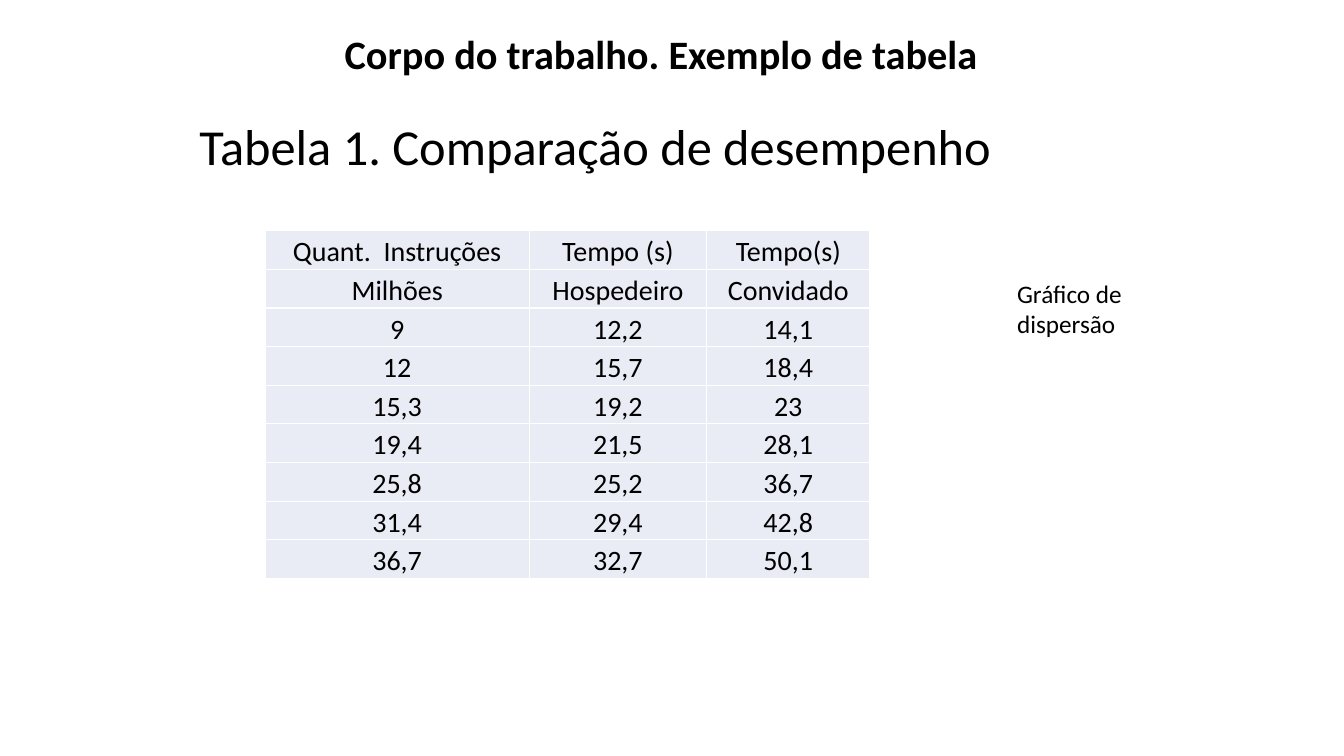
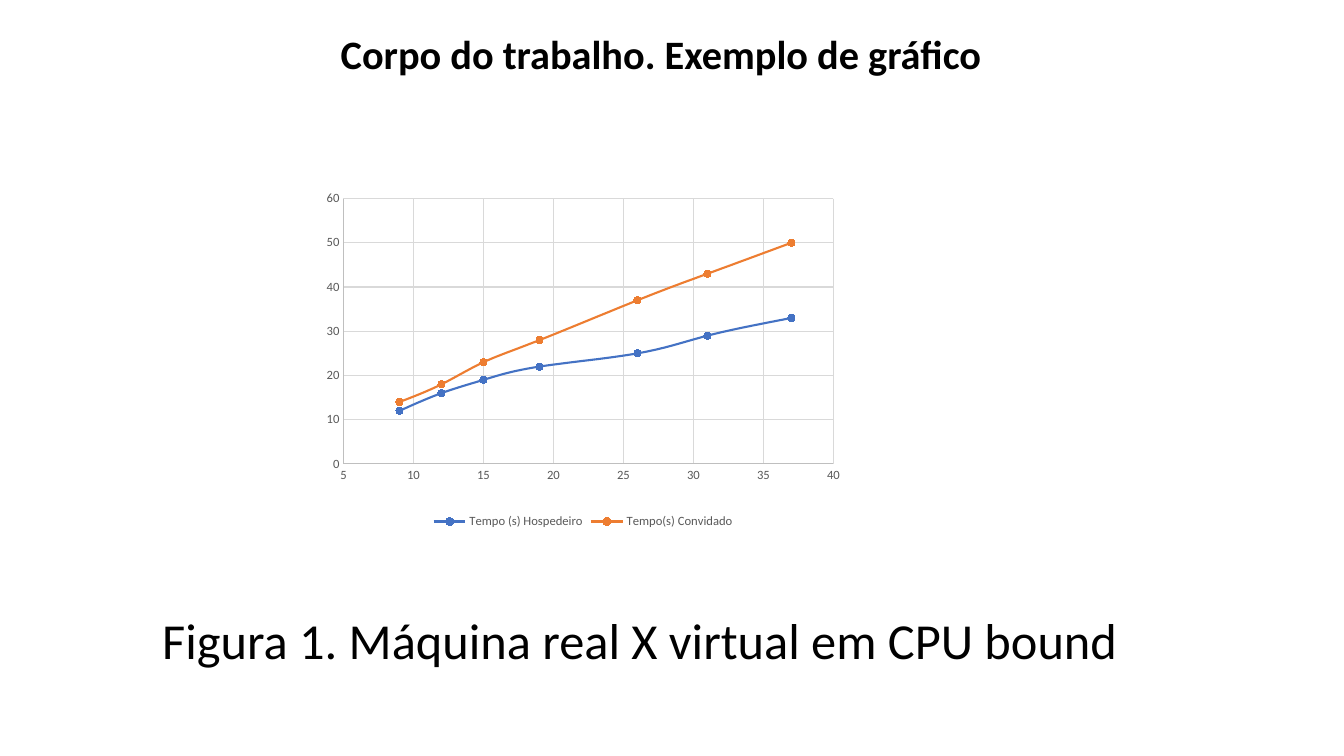
from dataclasses import dataclass
from typing import Any

import lxml.etree
import pptx
import pptx.chart.data
import pptx.dml.color
import pptx.enum.chart
import pptx.enum.text
import pptx.oxml.ns
import pptx.util

FONT = "Calibri"
BLACK, WHITE, GREY = "000000", "FFFFFF", "595959"
CELL_FILL, AXIS_LINE, GRID_LINE = "E9EBF5", "BFBFBF", "D9D9D9"
SERIES_COLOURS = ("4472C4", "ED7D31")
COLUMN_WEIGHTS = (2.62, 1.76, 1.62)
PLOT_SHARES = {"x": 0.06, "y": 0.03, "w": 0.9, "h": 0.77}

SLIDE_WIDTH = pptx.util.Inches(13.33)
SLIDE_HEIGHT = pptx.util.Inches(7.5)

# The table shows these measurements, the chart their whole numbers
HEADERS = [
    ("Quant.  Instruções", "Tempo (s)", "Tempo(s)"),
    ("Milhões", "Hospedeiro", "Convidado"),
]
MEASUREMENTS = [
    (9, 12.2, 14.1),
    (12, 15.7, 18.4),
    (15.3, 19.2, 23),
    (19.4, 21.5, 28.1),
    (25.8, 25.2, 36.7),
    (31.4, 29.4, 42.8),
    (36.7, 32.7, 50.1),
]


@dataclass(frozen=True)
class Box:
    """A place on the slide, in percent of its width and height."""

    left: float
    top: float
    width: float
    height: float

    def lengths(self) -> tuple[int, int, int, int]:
        return (
            round(SLIDE_WIDTH * self.left / 100),
            round(SLIDE_HEIGHT * self.top / 100),
            round(SLIDE_WIDTH * self.width / 100),
            round(SLIDE_HEIGHT * self.height / 100),
        )


@dataclass(frozen=True)
class TextStyle:
    size: float
    bold: bool = False
    colour: str = BLACK


@dataclass(frozen=True)
class Label:
    text: str
    box: Box
    style: TextStyle


TITLE_BOX = Box(4.6, 2.5, 89.2, 8.4)
TABLE_BOX = Box(19.73, 30.53, 45, 46)
CHART_BOX = Box(23.13, 24.9, 40.51, 45.6)

TITLE_STYLE = TextStyle(28.8, bold=True)
CAPTION_STYLE = TextStyle(36)
NOTE_STYLE = TextStyle(18)
CELL_STYLE = TextStyle(20)
CHART_STYLE = TextStyle(9, colour=GREY)

TABLE_LABELS = [
    Label("Tabela 1. Comparação de desempenho", Box(14.1, 14.53, 71.87, 9.47), CAPTION_STYLE),
    Label("Gráfico de dispersão", Box(74.94, 36.13, 11.03, 9.47), NOTE_STYLE),
]
CHART_LABELS = [
    Label("Figura 1. Máquina real X virtual em CPU bound", Box(11.33, 79.87, 77.19, 9.47), CAPTION_STYLE),
]


def colour(hex_value: str) -> Any:
    return pptx.dml.color.RGBColor.from_string(hex_value)


def set_attributes(target: Any, values: dict[str, Any]) -> None:
    for name, value in values.items():
        setattr(target, name, value)


def style_font(font: Any, style: TextStyle) -> None:
    set_attributes(font, {"name": FONT, "size": pptx.util.Pt(style.size), "bold": style.bold})
    font.color.rgb = colour(style.colour)


def style_fill(fill: Any, hex_value: str) -> None:
    fill.solid()
    fill.fore_color.rgb = colour(hex_value)


def style_line(line: Any, hex_value: str, width: float) -> None:
    line.color.rgb = colour(hex_value)
    line.width = pptx.util.Pt(width)


def add_label(slide: Any, label: Label) -> Any:
    frame = slide.shapes.add_textbox(*label.box.lengths()).text_frame
    set_attributes(frame, {
        "text": label.text,
        "word_wrap": True,
        "auto_size": pptx.enum.text.MSO_AUTO_SIZE.SHAPE_TO_FIT_TEXT,
    })
    style_font(frame.paragraphs[0].runs[0].font, label.style)
    return frame


def add_titled_slide(presentation: Any, title: str, labels: list[Label]) -> Any:
    slide = presentation.slides.add_slide(presentation.slide_layouts[6])
    frame = add_label(slide, Label(title, TITLE_BOX, TITLE_STYLE))
    set_attributes(frame, {
        "auto_size": pptx.enum.text.MSO_AUTO_SIZE.NONE,
        "vertical_anchor": pptx.enum.text.MSO_ANCHOR.BOTTOM,
    })
    set_attributes(frame.paragraphs[0], {
        "alignment": pptx.enum.text.PP_ALIGN.CENTER,
        "line_spacing": 1.2,
    })
    for label in labels:
        add_label(slide, label)
    return slide


def add_borders(cell: Any) -> None:
    properties = cell._tc.get_or_add_tcPr()
    for position, side in enumerate(("lnL", "lnR", "lnT", "lnB")):
        border = lxml.etree.Element(pptx.oxml.ns.qn(f"a:{side}"), w=str(pptx.util.Pt(1)))
        fill = lxml.etree.SubElement(border, pptx.oxml.ns.qn("a:solidFill"))
        lxml.etree.SubElement(fill, pptx.oxml.ns.qn("a:srgbClr"), val=WHITE)
        properties.insert(position, border)


def fill_cell(cell: Any, text: str) -> None:
    margin = pptx.util.Inches(0.01)
    set_attributes(cell, {
        "text": text,
        "vertical_anchor": pptx.enum.text.MSO_ANCHOR.BOTTOM,
        "margin_left": margin,
        "margin_right": margin,
        "margin_top": margin,
        "margin_bottom": 0,
    })
    paragraph = cell.text_frame.paragraphs[0]
    paragraph.alignment = pptx.enum.text.PP_ALIGN.CENTER
    style_font(paragraph.runs[0].font, CELL_STYLE)
    style_fill(cell.fill, CELL_FILL)
    add_borders(cell)


def add_measurement_table(slide: Any) -> None:
    rows = HEADERS + [
        tuple(str(value).replace(".", ",") for value in row) for row in MEASUREMENTS
    ]
    lengths = TABLE_BOX.lengths()
    table = slide.shapes.add_table(len(rows), len(COLUMN_WEIGHTS), *lengths).table
    set_attributes(table, {"first_row": False, "horz_banding": False})
    for column, weight in zip(table.columns, COLUMN_WEIGHTS):
        column.width = round(lengths[2] * weight / sum(COLUMN_WEIGHTS))
    for row_index, row in enumerate(rows):
        for column_index, text in enumerate(row):
            fill_cell(table.cell(row_index, column_index), text)


def style_axis(axis: Any, limits: dict[str, float]) -> None:
    set_attributes(axis, limits)
    set_attributes(axis, {
        "has_major_gridlines": True,
        "major_tick_mark": pptx.enum.chart.XL_TICK_MARK.NONE,
        "minor_tick_mark": pptx.enum.chart.XL_TICK_MARK.NONE,
    })
    style_font(axis.tick_labels.font, CHART_STYLE)
    style_line(axis.format.line, AXIS_LINE, 0.75)
    style_line(axis.major_gridlines.format.line, GRID_LINE, 0.75)


def place_plot(chart: Any) -> None:
    qn = pptx.oxml.ns.qn
    plot_area = chart._chartSpace.find(f".//{qn('c:plotArea')}")
    for old_layout in plot_area.findall(qn("c:layout")):
        plot_area.remove(old_layout)
    layout = lxml.etree.Element(qn("c:layout"))
    plot_area.insert(0, layout)
    manual = lxml.etree.SubElement(layout, qn("c:manualLayout"))
    settings = {"layoutTarget": "inner", "xMode": "edge", "yMode": "edge", **PLOT_SHARES}
    for name, value in settings.items():
        lxml.etree.SubElement(manual, qn(f"c:{name}"), val=str(value))


def add_measurement_chart(slide: Any) -> None:
    data = pptx.chart.data.XyChartData()
    for column in range(1, len(COLUMN_WEIGHTS)):
        series = data.add_series(" ".join(header[column] for header in HEADERS))
        for row in MEASUREMENTS:
            series.add_data_point(round(row[0]), round(row[column]))
    chart = slide.shapes.add_chart(
        pptx.enum.chart.XL_CHART_TYPE.XY_SCATTER_SMOOTH, *CHART_BOX.lengths(), data
    ).chart
    set_attributes(chart, {"has_title": False, "has_legend": True})
    style_font(chart.font, TextStyle(10))
    set_attributes(chart.legend, {
        "position": pptx.enum.chart.XL_LEGEND_POSITION.BOTTOM,
        "include_in_layout": False,
    })
    style_font(chart.legend.font, CHART_STYLE)
    style_axis(chart.category_axis, {"minimum_scale": 5, "maximum_scale": 40, "major_unit": 5})
    style_axis(chart.value_axis, {"minimum_scale": 0, "maximum_scale": 60, "major_unit": 10})
    chart.plots[0].vary_by_categories = False
    for series, series_colour in zip(chart.plots[0].series, SERIES_COLOURS):
        series._element.get_or_add_smooth().val = True
        style_line(series.format.line, series_colour, 1.5)
        set_attributes(series.marker, {
            "style": pptx.enum.chart.XL_MARKER_STYLE.CIRCLE,
            "size": 5,
        })
        style_fill(series.marker.format.fill, series_colour)
        style_line(series.marker.format.line, series_colour, 0.75)
    place_plot(chart)


def main() -> None:
    presentation = pptx.Presentation()
    set_attributes(presentation, {"slide_width": SLIDE_WIDTH, "slide_height": SLIDE_HEIGHT})

    # Table slide
    slide = add_titled_slide(presentation, "Corpo do trabalho. Exemplo de tabela", TABLE_LABELS)
    add_measurement_table(slide)

    # Chart slide
    slide = add_titled_slide(presentation, "Corpo do trabalho. Exemplo de gráfico", CHART_LABELS)
    add_measurement_chart(slide)

    presentation.save("out.pptx")


if __name__ == "__main__":
    main()
